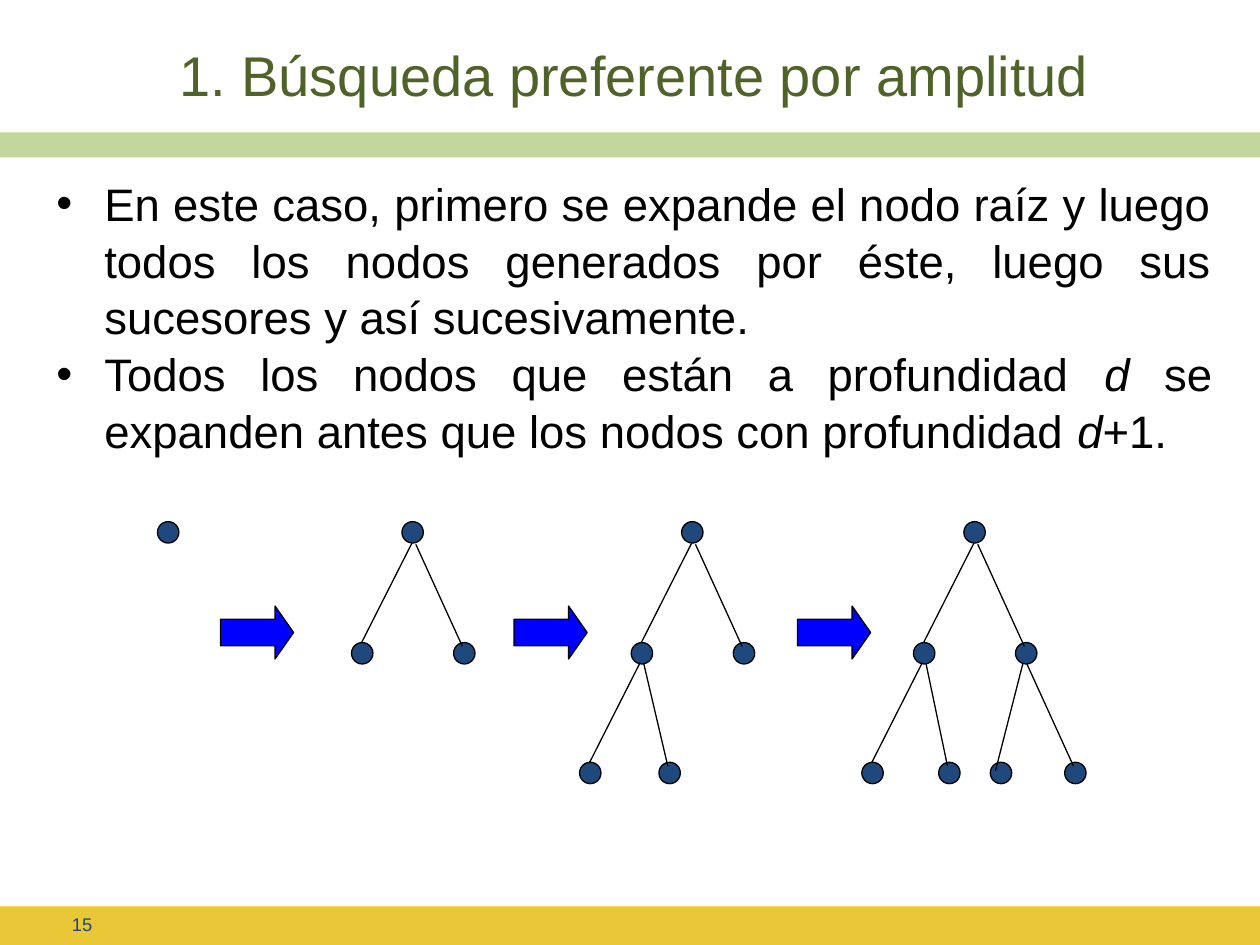
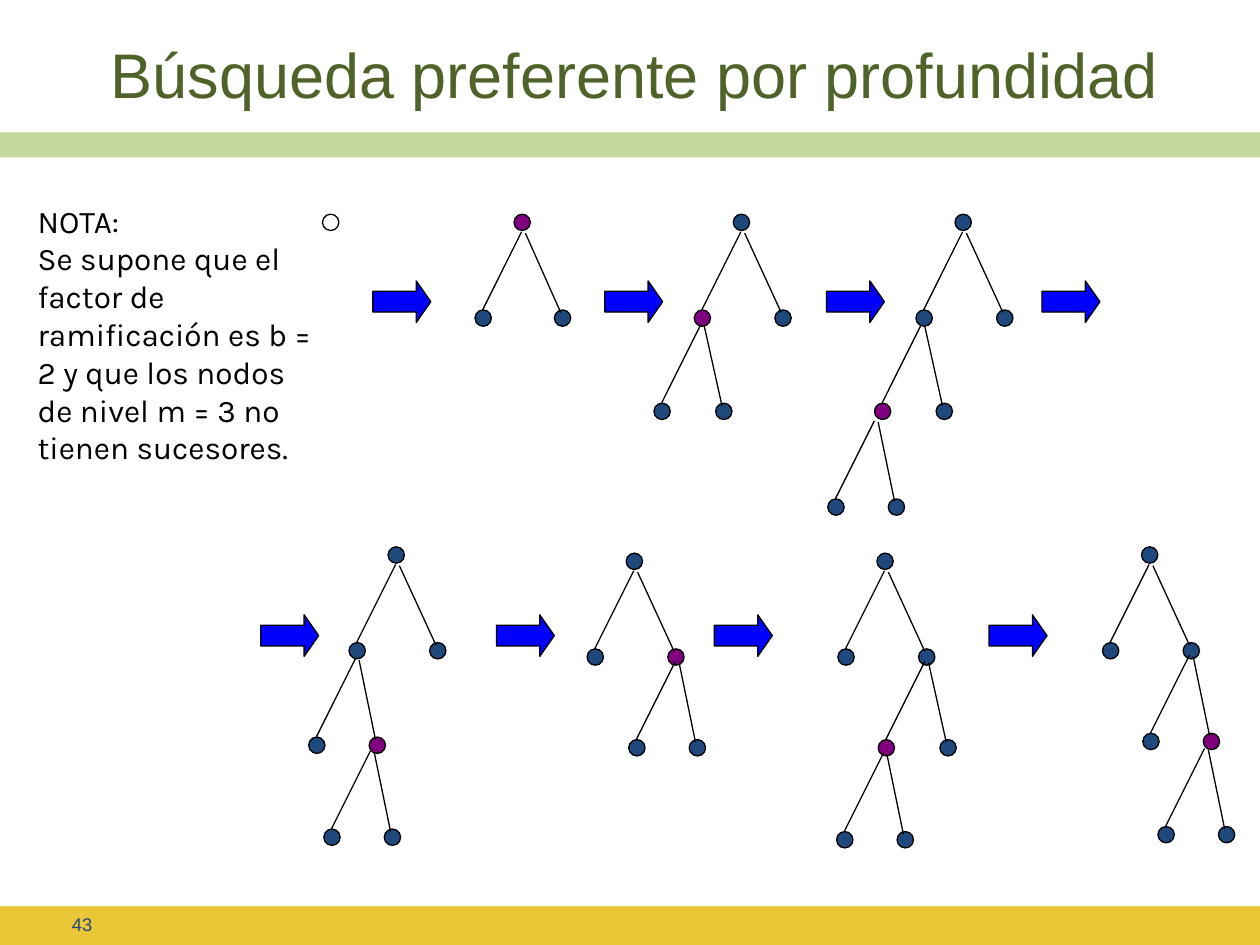
from dataclasses import dataclass

from lxml.etree import SubElement
from pptx import Presentation
from pptx.dml.color import RGBColor
from pptx.enum.shapes import MSO_CONNECTOR, MSO_SHAPE
from pptx.enum.text import MSO_ANCHOR, PP_ALIGN
from pptx.oxml.ns import qn
from pptx.shapes.autoshape import Shape
from pptx.slide import Slide
from pptx.text.text import TextFrame
from pptx.util import Pt

RECT, OVAL, ARROW = MSO_SHAPE.RECTANGLE, MSO_SHAPE.OVAL, MSO_SHAPE.RIGHT_ARROW
STRAIGHT = MSO_CONNECTOR.STRAIGHT
TOP, MIDDLE = MSO_ANCHOR.TOP, MSO_ANCHOR.MIDDLE
LEFT, RIGHT = PP_ALIGN.LEFT, PP_ALIGN.RIGHT
CENTER, JUSTIFY = PP_ALIGN.CENTER, PP_ALIGN.JUSTIFY

SCALE = 9144
THIN = Pt(0.75)
HUES = {
    "black": "000000",
    "navy": "1F497D",
    "plum": "800080",
    "blue": "0000FF",
    "green": "C3D69B",
    "gold": "FFC000",
    "olive": "4F6228",
}


@dataclass(frozen=True)
class Box:
    x: int
    y: int
    w: int
    h: int


@dataclass(frozen=True)
class Kit:
    dot: int
    arrow: tuple[int, int]
    root: tuple[int, int]
    top: int
    rise: int
    foot: int
    dip: int


@dataclass(frozen=True)
class Fork:
    x: int
    y: int
    gap: int
    root: str = ""
    left: str = "navy"
    right: str = "navy"
    top: int = 0
    foot: tuple[int, int] | None = None


@dataclass(frozen=True)
class Style:
    hue: str
    font: dict
    para: dict
    frame: dict


BIG = Kit(17, (58, 42), (40, -96), 48, 79, 8, 3)
SMALL = Kit(13, (46, 33), (31, -76), 37, 62, 6, 2)

TITLE_BOX = Box(35, 23, 937, 71)
PAGE_BOX = Box(34, 722, 49, 23)
BODY_BOX = Box(35, 133, 937, 571)
NOTE_BOX = Box(20, 155, 249, 222)
BANDS = [
    (Box(0, 105, 1000, 20), "green", 100),
    (Box(0, 720, 1000, 30), "green", 100),
    (Box(0, 719, 1000, 31), "gold", 65),
]

PAGE = Style(
    "navy",
    {"name": "Arial", "size": Pt(10.5)},
    {"alignment": RIGHT},
    {"vertical_anchor": MIDDLE, "margin_top": 4 * SCALE, "margin_bottom": 4 * SCALE},
)
BODY = Style(
    "black",
    {"name": "Arial", "size": Pt(26)},
    {"alignment": JUSTIFY, "line_spacing": 1.04},
    {"vertical_anchor": TOP},
)
NOTE = Style(
    "black",
    {"name": "Karla", "size": Pt(18)},
    {"alignment": LEFT},
    {"vertical_anchor": TOP},
)

POINTS = [
    [
        ("En este caso, primero se expande el nodo raíz y luego todos los nodos "
         "generados por éste, luego sus sucesores y así sucesivamente.", False),
    ],
    [
        ("Todos los nodos que están a profundidad ", False),
        ("d", True),
        (" se expanden antes que los nodos con profundidad ", False),
        ("d", True),
        ("+1.", False),
    ],
]
REMARK = [
    [("NOTA:", False)],
    [("Se supone que el factor de ramificación es b = 2 y que los nodos "
      "de nivel m = 3 no tienen sucesores.", False)],
]

BREADTH = [
    Fork(279, 510, 81, "navy"),
    Fork(501, 510, 81, "navy"),
    Fork(460, 605, 63),
    Fork(725, 510, 81, "navy"),
    Fork(684, 605, 61),
    Fork(786, 605, 59, top=26, foot=(4, 7)),
]
DEPTH = [
    Fork(377, 246, 63, "plum"),
    Fork(551, 246, 64, "navy", left="plum"),
    Fork(519, 320, 49),
    Fork(727, 246, 64, "navy"),
    Fork(694, 320, 49, left="plum"),
    Fork(657, 396, 48),
    Fork(277, 510, 64, "navy"),
    Fork(245, 585, 48, right="plum"),
    Fork(257, 658, 48),
    Fork(466, 515, 64, "navy", right="plum"),
    Fork(499, 587, 48),
    Fork(665, 515, 64, "navy"),
    Fork(697, 587, 49, left="plum"),
    Fork(664, 660, 48),
    Fork(875, 510, 64, "navy"),
    Fork(907, 582, 48, right="plum"),
    Fork(919, 656, 48),
]
BREADTH_STEPS = [(x, 481) for x in (175, 408, 633)]
DEPTH_STEPS = [(x, 223) for x in (296, 480, 656, 827)]
DEPTH_STEPS += [(x, 488) for x in (207, 394, 567, 785)]


def tint(hue: str) -> RGBColor:
    return RGBColor.from_string(HUES[hue])


def apply(thing: object, values: dict) -> None:
    for name, value in values.items():
        setattr(thing, name, value)


def place(box: Box) -> list[int]:
    return [n * SCALE for n in (box.x, box.y, box.w, box.h)]


def draw(slide: Slide, kind: int, box: Box, hue: str, edge: bool = True) -> Shape:
    shape = slide.shapes.add_shape(kind, *place(box))
    shape.shadow.inherit = False
    if hue:
        shape.fill.solid()
        shape.fill.fore_color.rgb = tint(hue)
    else:
        shape.fill.background()
    if edge:
        shape.line.color.rgb = tint("black")
        shape.line.width = THIN
    else:
        shape.line.fill.background()
    return shape


def band(slide: Slide, box: Box, hue: str, alpha: int) -> None:
    shape = draw(slide, RECT, box, hue, edge=False)
    if alpha < 100:
        paint = shape.element.spPr.find(".//" + qn("a:srgbClr"))
        SubElement(paint, qn("a:alpha"), val=str(alpha * 1000))


def write(slide: Slide, box: Box, paras: list, style: Style) -> TextFrame:
    frame = slide.shapes.add_textbox(*place(box)).text_frame
    frame.word_wrap = True
    apply(frame, style.frame)
    for i, runs in enumerate(paras):
        para = frame.add_paragraph() if i else frame.paragraphs[0]
        apply(para, style.para)
        for text, slant in runs:
            run = para.add_run()
            run.text = text
            apply(run.font, {**style.font, "italic": slant})
            run.font.color.rgb = tint(style.hue)
    return frame


def bullet(frame: TextFrame, indent: int) -> None:
    for para in frame.paragraphs:
        props = para._p.get_or_add_pPr()
        props.set("marL", str(indent * SCALE))
        props.set("indent", str(-indent * SCALE))
        SubElement(props, qn("a:buFont"), typeface="Arial")
        SubElement(props, qn("a:buChar"), char="•")


def dot(slide: Slide, kit: Kit, x: int, y: int, hue: str) -> None:
    draw(slide, OVAL, Box(x, y, kit.dot, kit.dot), hue)


def branch(slide: Slide, *ends: int) -> None:
    line = slide.shapes.add_connector(STRAIGHT, *[n * SCALE for n in ends])
    line.line.color.rgb = tint("black")
    line.line.width = THIN
    SubElement(line.element.spPr, qn("a:effectLst"))


def split(slide: Slide, kit: Kit, fork: Fork) -> None:
    x, y = fork.x, fork.y
    if fork.root:
        dot(slide, kit, x + kit.root[0], y + kit.root[1], fork.root)
    dot(slide, kit, x, y, fork.left)
    dot(slide, kit, x + fork.gap, y, fork.right)
    top = x + (fork.top or kit.top)
    dx, dy = fork.foot or (kit.foot, 0)
    branch(slide, top, y - kit.rise, x + dx, y + dy)
    end = x + fork.gap + kit.foot - 1
    branch(slide, top + 3, y - kit.rise + 1, end, y + kit.dip)


def graph(slide: Slide, kit: Kit, forks: list[Fork], steps: list) -> None:
    for fork in forks:
        split(slide, kit, fork)
    for x, y in steps:
        shape = draw(slide, ARROW, Box(x, y, *kit.arrow), "blue")
        shape.adjustments[0] = 0.5
        shape.adjustments[1] = 0.35


def start(deck: Presentation, title: str, size: int, page: int) -> Slide:
    slide = deck.slides.add_slide(deck.slide_layouts[6])
    for box, hue, alpha in BANDS:
        band(slide, box, hue, alpha)
    write(slide, PAGE_BOX, [[(str(page), False)]], PAGE)
    style = Style(
        "olive",
        {"name": "Arial", "size": Pt(size)},
        {"alignment": CENTER},
        {"vertical_anchor": MIDDLE},
    )
    write(slide, TITLE_BOX, [[(title, False)]], style)
    return slide


def main() -> None:
    deck = Presentation()
    deck.slide_width, deck.slide_height = 1000 * SCALE, 750 * SCALE

    slide = start(deck, "1. Búsqueda preferente por amplitud", 32, 15)
    bullet(write(slide, BODY_BOX, POINTS, BODY), 38)
    dot(slide, BIG, 125, 414, "navy")
    graph(slide, BIG, BREADTH, BREADTH_STEPS)

    slide = start(deck, "Búsqueda preferente por profundidad", 36, 43)
    dot(slide, SMALL, 256, 170, "")
    graph(slide, SMALL, DEPTH, DEPTH_STEPS)
    write(slide, NOTE_BOX, REMARK, NOTE)

    deck.save("out.pptx")


if __name__ == "__main__":
    main()
